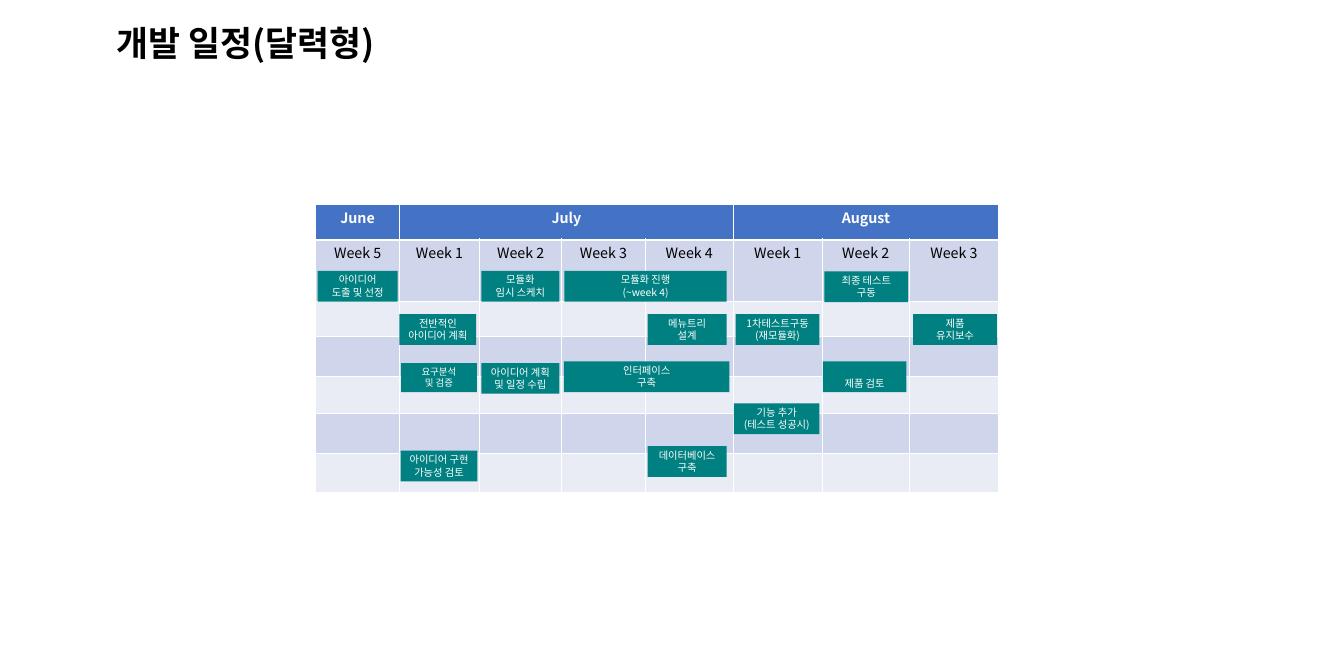
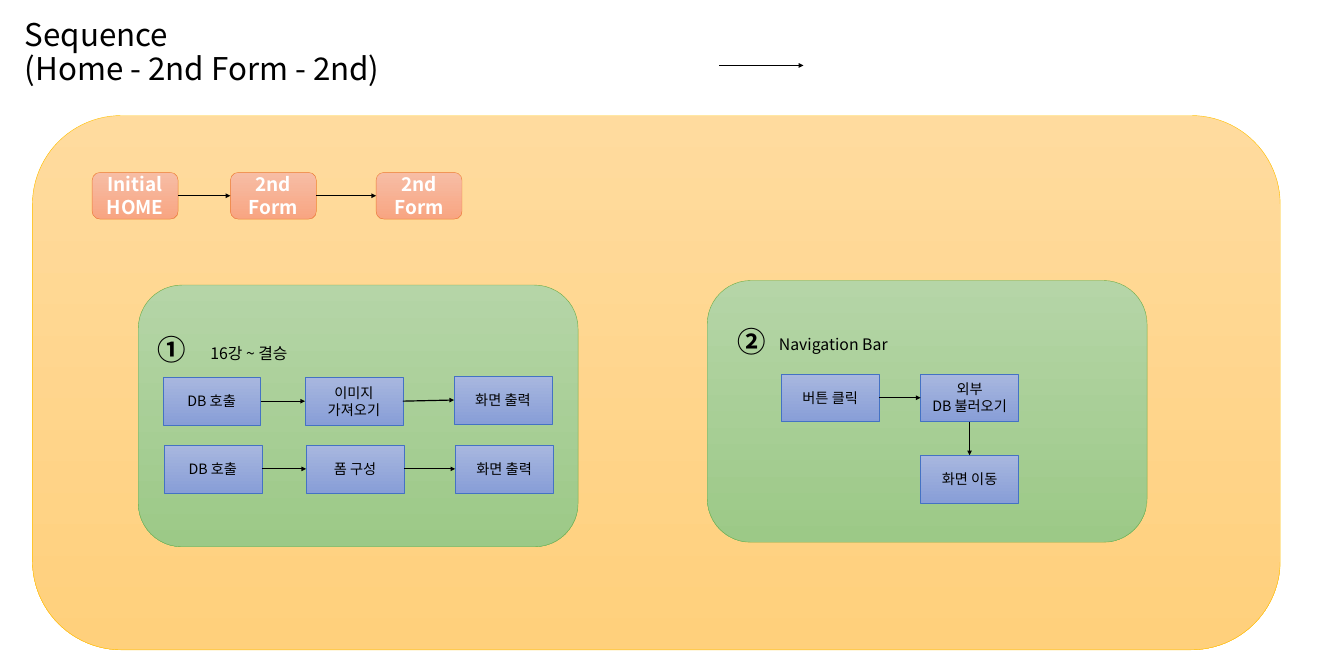
"""Build a development calendar slide and a screen sequence slide."""
from dataclasses import dataclass
from typing import Any, Optional

import lxml.etree
import pptx
import pptx.dml.color
import pptx.enum.shapes
import pptx.enum.text
import pptx.oxml.ns
import pptx.util

Inches = pptx.util.Inches
RGBColor = pptx.dml.color.RGBColor
Align = pptx.enum.text.PP_ALIGN
Anchor = pptx.enum.text.MSO_ANCHOR
ShapeType = pptx.enum.shapes.MSO_SHAPE
qn = pptx.oxml.ns.qn

FONT = "Noto Sans CJK KR"
BLACK = RGBColor(0x00, 0x00, 0x00)
WHITE = RGBColor(0xFF, 0xFF, 0xFF)
TEAL = RGBColor(0x00, 0x80, 0x80)
HEADER_BLUE = RGBColor(0x44, 0x72, 0xC4)
BANDS = (RGBColor(0xCF, 0xD5, 0xEA), RGBColor(0xE9, 0xEB, 0xF5))

COLUMN_WIDTHS = (1.47, 1.41, 1.44, 1.47, 1.55, 1.56, 1.53, 1.57)
ROW_HEIGHTS = (0.62, 1.08, 0.62, 0.7, 0.66, 0.69, 0.7)
MONTHS = (("June", 0, 0), ("July", 1, 4), ("August", 5, 7))
WEEKS = (5, 1, 2, 3, 4, 1, 2, 3)

TOP, LEFT, BOTTOM, RIGHT = range(4)


@dataclass(frozen=True)
class Box:
    left: float
    top: float
    width: float
    height: float


@dataclass(frozen=True)
class TextStyle:
    size: float
    color: RGBColor = BLACK
    bold: bool = False
    align: Any = Align.CENTER
    anchor: Any = Anchor.MIDDLE
    inset: bool = True
    spacing: float = 1.0


@dataclass(frozen=True)
class BoxStyle:
    shape_type: Any
    start: RGBColor
    end: RGBColor
    outline: RGBColor
    text: Optional[TextStyle] = None


@dataclass(frozen=True)
class Task:
    text: str
    left: float
    top: float
    width: float
    height: float = 0.54
    size: float = 13
    anchor: Any = Anchor.TOP


@dataclass(frozen=True)
class Step:
    text: str
    left: float
    top: float


TITLE = TextStyle(44, bold=True, align=Align.LEFT, spacing=0.9)
SEQUENCE_TITLE = TextStyle(39.6, align=Align.LEFT, spacing=0.9)
NUMBER = TextStyle(36, bold=True, align=Align.LEFT, anchor=Anchor.TOP, inset=False)
CAPTION = TextStyle(20, anchor=Anchor.TOP)
MONTH = TextStyle(18, WHITE, bold=True, anchor=Anchor.TOP)
WEEK = TextStyle(18, anchor=Anchor.TOP)

BACKDROP = BoxStyle(ShapeType.ROUNDED_RECTANGLE, RGBColor(0xFF, 0xDB, 0x9E),
                    RGBColor(0xFF, 0xD0, 0x7C), RGBColor(0xFF, 0xC0, 0x00))
PANEL = BoxStyle(ShapeType.ROUNDED_RECTANGLE, RGBColor(0xB5, 0xD5, 0xA7),
                 RGBColor(0x9C, 0xC9, 0x87), RGBColor(0x70, 0xAD, 0x47))
FORM = BoxStyle(ShapeType.ROUNDED_RECTANGLE, RGBColor(0xF7, 0xBD, 0xA5),
                RGBColor(0xF8, 0xA5, 0x82), RGBColor(0xED, 0x7D, 0x31),
                TextStyle(24, WHITE, bold=True))
PROCESS = BoxStyle(ShapeType.RECTANGLE, RGBColor(0xA8, 0xB7, 0xDF),
                   RGBColor(0x88, 0x9E, 0xD7), HEADER_BLUE, TextStyle(18))

TASKS = (
    Task("아이디어\n도출 및 선정", 5.58, 4.76, 1.41),
    Task("전반적인\n아이디어 계획", 7.02, 5.52, 1.35),
    Task("요구분석\n및 검증", 7.05, 6.38, 1.33, height=0.51, size=12),
    Task("모듈화\n임시 스케치", 8.46, 4.76, 1.37),
    Task("아이디어 계획\n및 일정 수립", 8.46, 6.38, 1.37),
    Task("아이디어 구현\n가능성 검토", 7.04, 7.92, 1.35),
    Task("모듈화 진행\n(~week 4)", 9.92, 4.76, 2.85),
    Task("인터페이스\n구축", 9.91, 6.35, 2.91),
    Task("데이터베이스\n구축", 11.38, 7.84, 1.39),
    Task("1차테스트구동\n(재모듈화)", 12.93, 5.52, 1.47),
    Task("기능 추가\n(테스트 성공시)", 12.9, 7.09, 1.5),
    Task("최종 테스트\n구동", 14.49, 4.77, 1.47),
    Task("제품 검토", 14.46, 6.35, 1.47, anchor=Anchor.BOTTOM),
    Task("제품\n유지보수", 16.05, 5.52, 1.47),
    Task("메뉴트리\n설계", 11.38, 5.52, 1.39),
)

FORM_SIZE = (1.51, 0.82)
PROCESS_SIZE = (1.72, 0.84)
FORM_STEPS = (Step("Initial\nHOME", 1.62, 3.03), Step("2nd\nForm", 4.05, 3.03),
              Step("2nd\nForm", 6.61, 3.03))
IMAGE_STEPS = (Step("DB 호출", 2.86, 6.63), Step("이미지\n가져오기", 5.36, 6.63),
               Step("화면 출력", 7.98, 6.61))
LAYOUT_STEPS = (Step("DB 호출", 2.88, 7.82), Step("폼 구성", 5.38, 7.82),
                Step("화면 출력", 8, 7.82))
NAVIGATION_STEPS = (Step("버튼 클릭", 13.73, 6.57), Step("외부\nDB 불러오기", 16.18, 6.57))
SCREEN_CHANGE = Step("화면 이동", 16.18, 8)


def place(box: Box) -> tuple:
    """Convert a box to lengths."""
    return tuple(Inches(value) for value in (box.left, box.top, box.width, box.height))


def write_text(frame: Any, text: str, style: TextStyle) -> None:
    """Write one paragraph for each line of text."""
    for index, line in enumerate(text.split("\n")):
        paragraph = frame.paragraphs[0] if index == 0 else frame.add_paragraph()
        paragraph.alignment = style.align
        paragraph.line_spacing = style.spacing
        run = paragraph.add_run()
        run.text = line
        run.font.name = FONT
        run.font.size = pptx.util.Pt(style.size)
        run.font.bold = style.bold
        run.font.color.rgb = style.color
        properties = run.font._element
        lxml.etree.SubElement(properties, qn("a:ea"), typeface=FONT)


def fill_frame(frame: Any, text: str, style: TextStyle) -> None:
    """Set up a text frame and write its text."""
    frame.word_wrap = True
    frame.vertical_anchor = style.anchor
    if not style.inset:
        frame.margin_left = frame.margin_right = Inches(0)
        frame.margin_top = frame.margin_bottom = Inches(0)
    write_text(frame, text, style)


def add_text(slide: Any, text: str, box: Box, style: TextStyle) -> None:
    """Add a text box."""
    fill_frame(slide.shapes.add_textbox(*place(box)).text_frame, text, style)


def add_box(slide: Any, box: Box, style: BoxStyle, text: str = "") -> Any:
    """Add an outlined shape with a vertical gradient."""
    shape = slide.shapes.add_shape(style.shape_type, *place(box))
    shape.shadow.inherit = False
    shape.fill.gradient()
    shape.fill.gradient_angle = 270
    for stop, color in zip(shape.fill.gradient_stops, (style.start, style.end)):
        stop.color.rgb = color
    shape.line.color.rgb = style.outline
    shape.line.width = pptx.util.Pt(0.5)
    if style.text:
        fill_frame(shape.text_frame, text, style.text)
    return shape


def add_arrow(slide: Any, start: tuple = (0, 0), end: tuple = (0, 0)) -> Any:
    """Add a black arrow between two points."""
    ends = [Inches(value) for value in (*start, *end)]
    arrow = slide.shapes.add_connector(pptx.enum.shapes.MSO_CONNECTOR.STRAIGHT, *ends)
    arrow.line.color.rgb = BLACK
    arrow.line.width = pptx.util.Pt(1.5)
    properties = arrow._element.spPr
    lxml.etree.SubElement(properties.find(qn("a:ln")), qn("a:tailEnd"), type="triangle")
    lxml.etree.SubElement(properties, qn("a:effectLst"))
    return arrow


def link(slide: Any, source: Any, target: Any, leave: int = RIGHT, enter: int = LEFT) -> None:
    """Join two shapes with an arrow."""
    arrow = add_arrow(slide)
    arrow.begin_connect(source, leave)
    arrow.end_connect(target, enter)


def add_chain(slide: Any, steps: tuple, size: tuple, style: BoxStyle) -> list:
    """Add steps joined from left to right."""
    shapes = [add_box(slide, Box(step.left, step.top, *size), style, step.text)
              for step in steps]
    for source, target in zip(shapes, shapes[1:]):
        link(slide, source, target)
    return shapes


def style_cell(cell: Any, row: int) -> None:
    """Give a calendar cell its white borders and its fill."""
    properties = cell._tc.get_or_add_tcPr()
    heavy = {0: "lnB", 1: "lnT"}.get(row)
    for side in ("lnL", "lnR", "lnT", "lnB"):
        width = pptx.util.Pt(3 if side == heavy else 1)
        border = lxml.etree.SubElement(properties, qn(f"a:{side}"), w=str(int(width)))
        fill = lxml.etree.SubElement(border, qn("a:solidFill"))
        lxml.etree.SubElement(fill, qn("a:srgbClr"), val=str(WHITE))
    cell.fill.solid()
    cell.fill.fore_color.rgb = BANDS[(row - 1) % 2] if row else HEADER_BLUE


def add_calendar(slide: Any) -> None:
    """Add the calendar table."""
    box = Box(5.55, 3.59, sum(COLUMN_WIDTHS), sum(ROW_HEIGHTS))
    table = slide.shapes.add_table(len(ROW_HEIGHTS), len(COLUMN_WIDTHS), *place(box)).table
    for column, width in zip(table.columns, COLUMN_WIDTHS):
        column.width = Inches(width)
    for index, (row, height) in enumerate(zip(table.rows, ROW_HEIGHTS)):
        row.height = Inches(height)
        for cell in row.cells:
            style_cell(cell, index)
    for month, first, last in MONTHS:
        cell = table.cell(0, first)
        if last > first:
            cell.merge(table.cell(0, last))
        write_text(cell.text_frame, month, MONTH)
    for column, week in enumerate(WEEKS):
        write_text(table.cell(1, column).text_frame, f"Week {week}", WEEK)


def add_task(slide: Any, task: Task) -> None:
    """Add a task bar on the calendar."""
    box = Box(task.left, task.top, task.width, task.height)
    shape = slide.shapes.add_shape(ShapeType.RECTANGLE, *place(box))
    shape.shadow.inherit = False
    shape.fill.solid()
    shape.fill.fore_color.rgb = TEAL
    shape.line.fill.background()
    fill_frame(shape.text_frame, task.text, TextStyle(task.size, WHITE, anchor=task.anchor))


def build_calendar(slide: Any) -> None:
    """Build the development calendar."""
    add_text(slide, "개발 일정(달력형)", Box(1.95, 0.22, 11.5, 1.16), TITLE)
    add_calendar(slide)
    for task in TASKS:
        add_task(slide, task)


def build_sequence(slide: Any) -> None:
    """Build the screen sequence."""
    add_box(slide, Box(0.57, 2.03, 21.93, 9.39), BACKDROP)
    add_text(slide, "Sequence\n(Home - 2nd Form - 2nd)", Box(0.34, 0.22, 6.62, 1.43),
             SEQUENCE_TITLE)
    add_chain(slide, FORM_STEPS, FORM_SIZE, FORM)
    add_arrow(slide, (12.64, 1.15), (14.12, 1.15))
    for left, top in ((2.43, 5.01), (12.43, 4.93)):
        add_box(slide, Box(left, top, 7.73, 4.6), PANEL)
    add_text(slide, "①", Box(2.77, 5.84, 0.96, 0.61), NUMBER)
    add_text(slide, "16강 ~ 결승", Box(3.31, 5.99, 2.13, 0.44), CAPTION)
    add_text(slide, "②", Box(12.97, 5.7, 0.77, 0.65), NUMBER)
    add_text(slide, "Navigation Bar", Box(13.48, 5.83, 2.33, 0.44), CAPTION)
    for steps in (IMAGE_STEPS, LAYOUT_STEPS):
        add_chain(slide, steps, PROCESS_SIZE, PROCESS)
    database = add_chain(slide, NAVIGATION_STEPS, PROCESS_SIZE, PROCESS)[-1]
    screen = add_chain(slide, (SCREEN_CHANGE,), PROCESS_SIZE, PROCESS)[0]
    link(slide, database, screen, BOTTOM, TOP)


def main() -> None:
    """Build and save the presentation."""
    presentation = pptx.Presentation()
    presentation.slide_width = Inches(23.62)
    presentation.slide_height = Inches(11.81)
    for build in (build_calendar, build_sequence):
        build(presentation.slides.add_slide(presentation.slide_layouts[6]))
    presentation.save("out.pptx")


if __name__ == "__main__":
    main()
